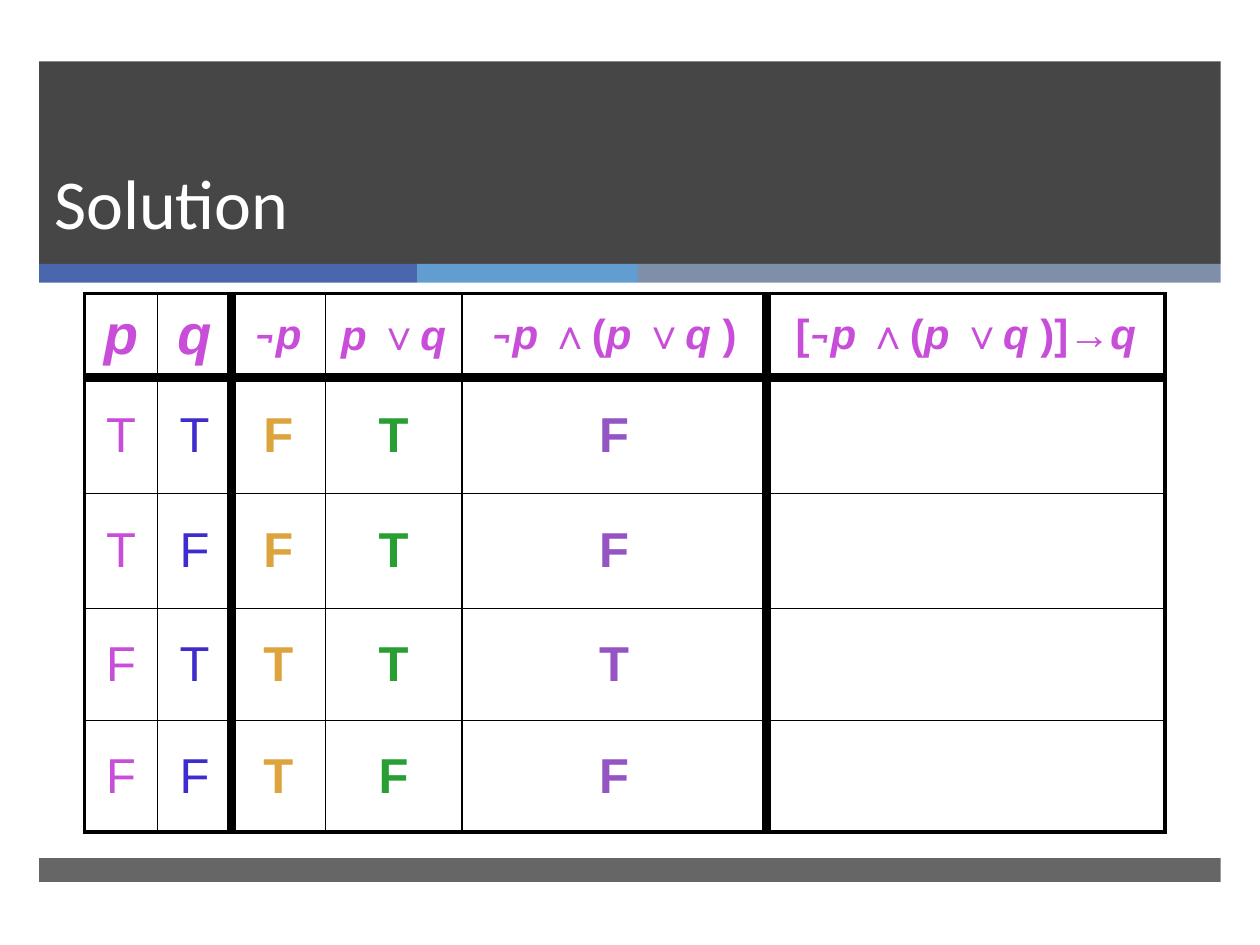
"""Build a truth table slide for [¬p ∧ (p ∨ q)] → q."""
from dataclasses import dataclass

from lxml.etree import SubElement
from pptx import Presentation
from pptx.dml.color import RGBColor
from pptx.enum.shapes import MSO_SHAPE
from pptx.enum.text import MSO_ANCHOR, PP_ALIGN
from pptx.oxml.ns import qn
from pptx.util import Cm, Pt


@dataclass(frozen=True)
class Theme:
    dark: str = "262626"
    accents: tuple = ("4A66AC", "629DD1", "7F8FA9")
    title: str = "FFFFFF"
    border: str = "000000"
    heading: str = "C84DD9"
    columns: tuple = ("C84DD9", "3F2CCC", "DDA43D", "289E33", "9454C3", "9454C3")
    title_size: int = 40
    variable_size: int = 32
    formula_size: int = 24
    value_size: int = 28
    title_font: str = "Calibri"
    table_font: str = "Arial"
    negation_font: str = "Karla"


theme = Theme()


def add_band(left, top, width, height, color, opacity=100):
    band = slide.shapes.add_shape(MSO_SHAPE.RECTANGLE, Cm(left), Cm(top), Cm(width), Cm(height))
    band.shadow.inherit = False
    band.line.fill.background()
    band.fill.solid()
    band.fill.fore_color.rgb = RGBColor.from_string(color)
    if opacity < 100:
        tint = band.fill._xPr.find(qn("a:solidFill"))[0]
        SubElement(tint, qn("a:alpha")).set("val", str(opacity * 1000))


def add_border(cell, side, points):
    line = SubElement(cell._tc.get_or_add_tcPr(), qn(f"a:ln{side}"), w=str(Pt(points)))
    fill = SubElement(line, qn("a:solidFill"))
    SubElement(fill, qn("a:srgbClr"), val=theme.border)


presentation = Presentation()
presentation.slide_width, presentation.slide_height = Cm(25.4), Cm(19.05)
slide = presentation.slides.add_slide(presentation.slide_layouts[6])

margin, band_width = 0.79, 23.82
add_band(margin, 1.24, band_width, 4.08, theme.dark, 85)
accent_left = margin
for accent_width, accent in zip((7.62, 4.45, 11.75), theme.accents):
    add_band(accent_left, 5.32, accent_width, 0.38, accent)
    accent_left += accent_width
add_band(margin, 17.3, band_width, 0.48, theme.dark, 70)

title = slide.shapes.add_textbox(Cm(0.84), Cm(2), Cm(21.7), Cm(3.03)).text_frame
title.word_wrap = True
title.vertical_anchor = MSO_ANCHOR.BOTTOM
heading = title.paragraphs[0]
heading.text = "Solution"
heading.line_spacing = Pt(46)
heading.font.name = theme.title_font
heading.font.size = Pt(theme.title_size)
heading.font.color.rgb = RGBColor.from_string(theme.title)

conjunction = ["¬", "p ", "∧(", "p ", "∨", "q "]
formulas = [
    ["p"],
    ["q"],
    ["¬", "p"],
    ["p ", "∨", "q"],
    [*conjunction, ")"],
    ["[", *conjunction, ")]→", "q"],
]
truth_values = ["TTFTF", "TFFTF", "FTTTT", "FFTFF"]
column_widths = [1.48, 1.48, 1.9, 2.75, 6.14, 8.04]
row_heights = [1.69, 2.33, 2.33, 2.25, 2.25]
vertical_rules = [2.25, 1, 6, 1, 1, 6, 2.25]
horizontal_rules = [2.25, 6, 0.25, 1, 1, 2.25]

truth_table = slide.shapes.add_table(
    len(row_heights), len(column_widths), Cm(1.7), Cm(5.92),
    Cm(sum(column_widths)), Cm(sum(row_heights))).table
for column, width in zip(truth_table.columns, column_widths):
    column.width = Cm(width)

for row_index, height in enumerate(row_heights):
    truth_table.rows[row_index].height = Cm(height)
    for column_index, formula in enumerate(formulas):
        cell = truth_table.cell(row_index, column_index)
        cell.vertical_anchor = MSO_ANCHOR.MIDDLE
        add_border(cell, "L", vertical_rules[column_index])
        add_border(cell, "R", vertical_rules[column_index + 1])
        add_border(cell, "T", horizontal_rules[row_index])
        add_border(cell, "B", horizontal_rules[row_index + 1])
        cell.fill.background()

        entry = cell.text_frame.paragraphs[0]
        entry.alignment = PP_ALIGN.CENTER
        entry.font.name = theme.table_font
        if row_index == 0:
            entry.font.size = Pt(theme.variable_size if column_index < 2 else theme.formula_size)
            entry.font.bold = True
            entry.font.color.rgb = RGBColor.from_string(theme.heading)
            for symbol in formula:
                part = entry.add_run()
                part.text = symbol
                part.font.italic = symbol.strip() in ("p", "q", "¬")
                if symbol == "¬":
                    part.font.name = theme.negation_font
        else:
            entry.text = truth_values[row_index - 1][column_index:column_index + 1]
            entry.font.size = Pt(theme.value_size)
            entry.font.bold = column_index >= 2
            entry.font.color.rgb = RGBColor.from_string(theme.columns[column_index])

presentation.save("out.pptx")
